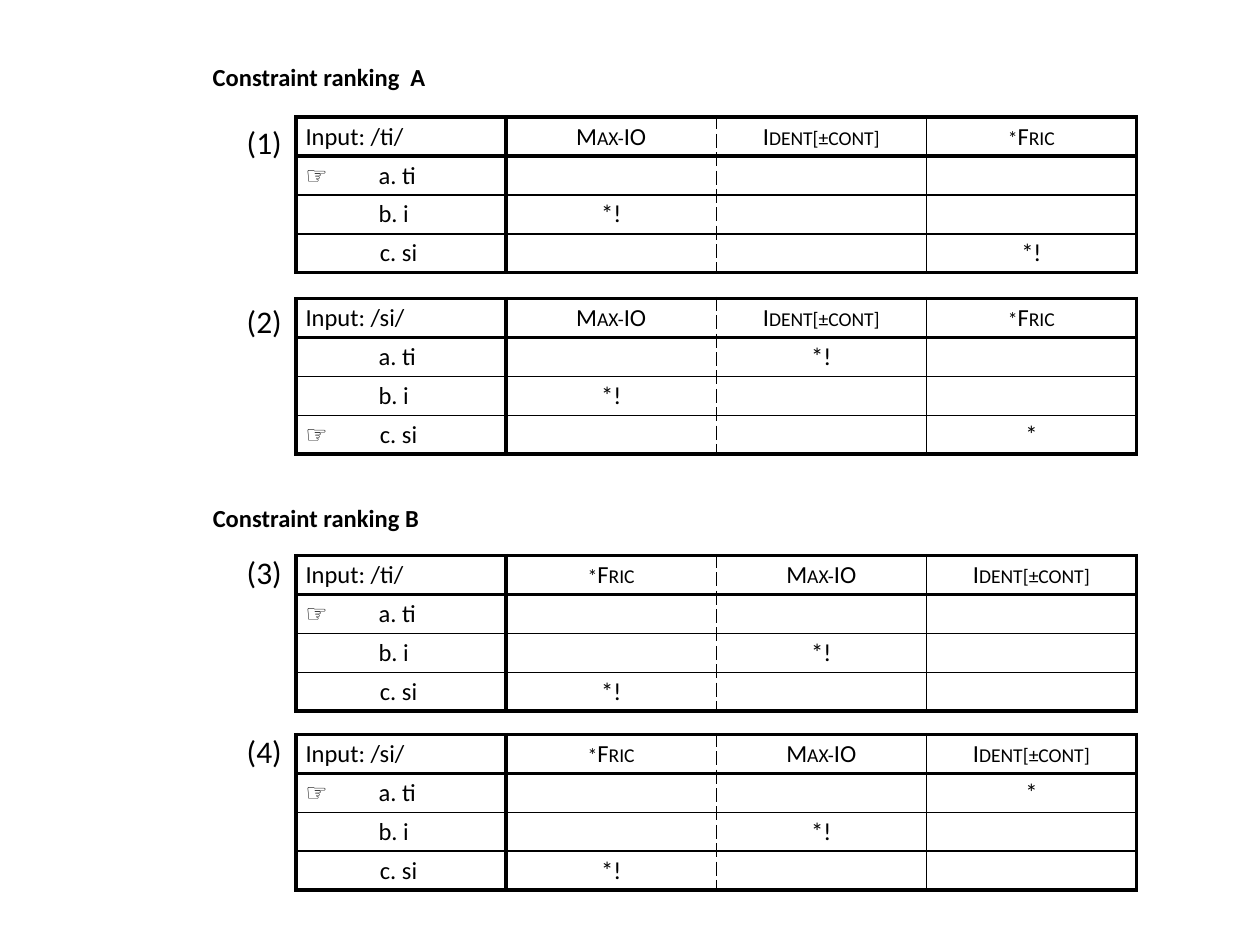
from lxml import etree
from pptx import Presentation
from pptx.dml.color import RGBColor
from pptx.enum import text
from pptx.oxml import ns
from pptx.util import Pt

BLACK = RGBColor(0x00, 0x00, 0x00)
FONT = "Calibri"
THICK, THIN, DASHED = (2.25, "solid"), (1, "solid"), (1, "dash")
ROW_RULES = [THICK, THICK, THIN, THIN, THICK]
COLUMN_RULES = [THICK, THICK, DASHED, THIN, THICK]
COLUMN_WIDTH, ROW_HEIGHT = 120.05, 22.14
TABLE_LEFT, NUMBER_LEFT, HEADING_LEFT = 169.2, 133.92, 114.48

CANDIDATES = ["a. ti", "b. i", "c. si"]
RANKING_A = ["Max-IO", "Ident[±cont]", "*Fric"]
RANKING_B = ["*Fric", "Max-IO", "Ident[±cont]"]

HEADINGS = [("Constraint ranking  A", 31.68, 136.8), ("Constraint ranking B", 283.68, 133.2)]

# number, number top, table top, input, ranking, winning row, {(row, column): mark}
TABLEAUX = [
    ("(1)", 66.96, 66.96, "/ti/", RANKING_A, 1, {(2, 1): "*!", (3, 3): "*!"}),
    ("(2)", 169.2, 170.64, "/si/", RANKING_A, 3, {(1, 2): "*!", (2, 1): "*!", (3, 3): "*"}),
    ("(3)", 312.48, 317.52, "/ti/", RANKING_B, 1, {(2, 2): "*!", (3, 1): "*!"}),
    ("(4)", 414.72, 419.76, "/si/", RANKING_B, 1, {(1, 3): "*", (2, 2): "*!", (3, 1): "*!"}),
]


def add_run(paragraph, words, size, bold=False):
    run = paragraph.add_run()
    run.text = words
    run.font.name = FONT
    run.font.size = Pt(size)
    run.font.bold = bold
    run.font.color.rgb = BLACK
    return run


def add_border(cell, side, rule):
    """Draw one side (L, R, T or B) of a cell with a (width, dash) rule."""
    width, dash = rule
    properties = cell._tc.get_or_add_tcPr()
    line = etree.SubElement(properties, ns.qn(f"a:ln{side}"), w=str(Pt(width)))
    fill = etree.SubElement(line, ns.qn("a:solidFill"))
    etree.SubElement(fill, ns.qn("a:srgbClr"), val=str(BLACK))
    etree.SubElement(line, ns.qn("a:prstDash"), val=dash)


presentation = Presentation()
presentation.slide_width, presentation.slide_height = Pt(720), Pt(540)
slide = presentation.slides.add_slide(presentation.slide_layouts[6])

labels = [(words, HEADING_LEFT, top, width, 24.48, 14, True) for words, top, width in HEADINGS]
labels += [(tableau[0], NUMBER_LEFT, tableau[1], 34.56, 28.8, 18, False) for tableau in TABLEAUX]
for words, left, top, width, height, size, bold in labels:
    box = slide.shapes.add_textbox(Pt(left), Pt(top), Pt(width), Pt(height))
    box.text_frame.word_wrap = False
    box.text_frame.auto_size = text.MSO_AUTO_SIZE.SHAPE_TO_FIT_TEXT
    add_run(box.text_frame.paragraphs[0], words, size, bold)

for number, number_top, top, input_form, ranking, winner, marks in TABLEAUX:
    frame = slide.shapes.add_table(
        4, 4, Pt(TABLE_LEFT), Pt(top), Pt(4 * COLUMN_WIDTH), Pt(4 * ROW_HEIGHT))
    table = frame.table
    table.first_row = table.horz_banding = False
    for column in table.columns:
        column.width = Pt(COLUMN_WIDTH)
    for row_index, row in enumerate(table.rows):
        row.height = Pt(ROW_HEIGHT)
        for column_index, cell in enumerate(row.cells):
            cell.margin_left = cell.margin_right = Pt(5.4)
            cell.margin_top = cell.margin_bottom = Pt(2.7)
            add_border(cell, "L", COLUMN_RULES[column_index])
            add_border(cell, "R", COLUMN_RULES[column_index + 1])
            add_border(cell, "T", ROW_RULES[row_index])
            add_border(cell, "B", ROW_RULES[row_index + 1])
            cell.fill.background()

            paragraph = cell.text_frame.paragraphs[0]
            if column_index > 0:
                paragraph.alignment = text.PP_ALIGN.CENTER
            if row_index == 0 and column_index == 0:
                add_run(paragraph, f"Input: {input_form}", 14)
            elif row_index == 0:
                run = add_run(paragraph, ranking[column_index - 1], 14)
                run._r.get_or_add_rPr().set("cap", "small")
            elif column_index == 0:
                properties = paragraph._p.get_or_add_pPr()
                if row_index == 3:
                    properties.set("marL", str(Pt(42.5)))
                    properties.set("indent", str(Pt(-42.5)))
                else:
                    tabs = etree.SubElement(properties, ns.qn("a:tabLst"))
                    etree.SubElement(tabs, ns.qn("a:tab"), pos=str(Pt(41.75)), algn="l")
                pointer = "☞" if row_index == winner else ""
                add_run(paragraph, f"{pointer}\t{CANDIDATES[row_index - 1]}", 14)
            elif (row_index, column_index) in marks:
                add_run(paragraph, marks[row_index, column_index], 14)
            else:
                etree.SubElement(paragraph._p, ns.qn("a:endParaRPr"), sz="1400")

presentation.save("out.pptx")
